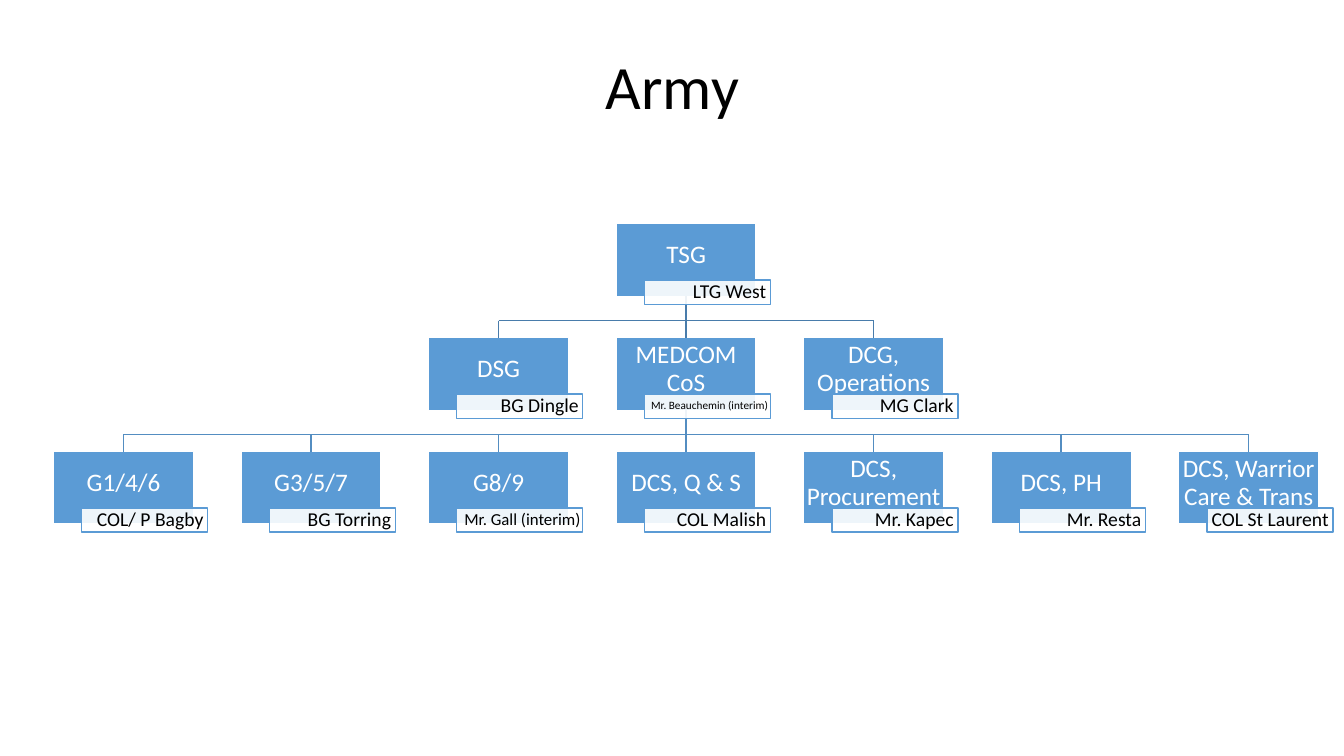
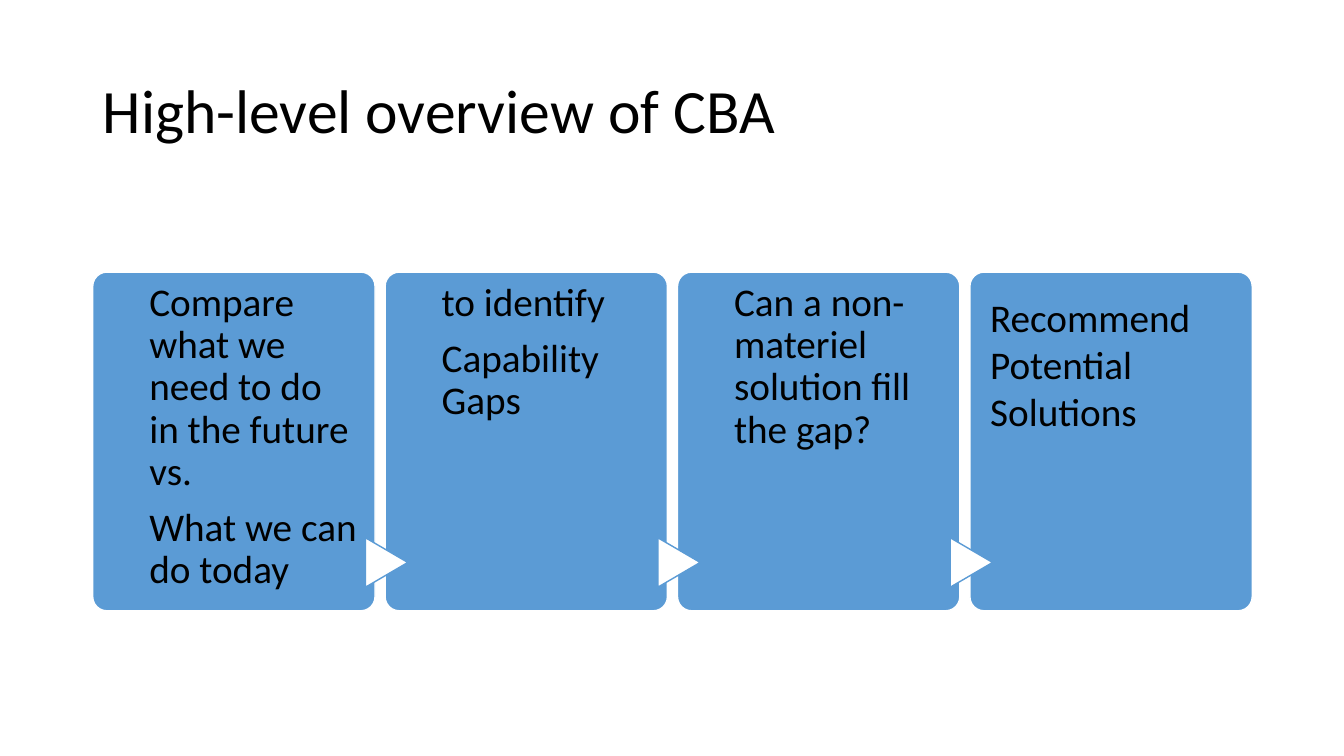
from lxml import etree
from pptx import Presentation
from pptx.dml.color import RGBColor
from pptx.enum.shapes import MSO_CONNECTOR, MSO_SHAPE
from pptx.enum.text import MSO_ANCHOR, PP_ALIGN
from pptx.oxml.ns import qn
from pptx.util import Inches, Pt

BLUE, WHITE, BLACK = "5B9BD5", "FFFFFF", "000000"
UPPER_LINE, LOWER_LINE = "497CAB", "538DC1"
FONT = "Calibri"


def color(hex_string):
    return RGBColor.from_string(hex_string)


class Deck:
    """Holds the shared style and the current slide."""

    def __init__(self):
        self.presentation = Presentation()
        self.presentation.slide_width = Inches(13.33)
        self.presentation.slide_height = Inches(7.5)
        self.slide = None

    def new_slide(self, title, height, align=PP_ALIGN.LEFT):
        self.slide = self.presentation.slides.add_slide(self.presentation.slide_layouts[6])
        box = self.slide.shapes.add_textbox(Inches(0.92), Inches(0.4), Inches(11.5), Inches(height))
        self.add_text(box, [title], 44, align=align, insets=(0.1, 0.05, 0.1, 0.05))

    def add_text(self, shape, lines, size, text_color=BLACK, align=PP_ALIGN.LEFT,
                 anchor=MSO_ANCHOR.MIDDLE, insets=(0, 0, 0, 0), spacing=0.9, after=0):
        frame = shape.text_frame
        frame.word_wrap = True
        frame.vertical_anchor = anchor
        (frame.margin_left, frame.margin_top,
         frame.margin_right, frame.margin_bottom) = map(Inches, insets)
        for index, line in enumerate(lines):
            paragraph = frame.add_paragraph() if index else frame.paragraphs[0]
            paragraph.alignment = align
            paragraph.line_spacing = spacing
            paragraph.space_after = Pt(after)
            run = paragraph.add_run()
            run.text = line
            run.font.name = FONT
            run.font.size = Pt(size)
            run.font.color.rgb = color(text_color)

    def add_shape(self, kind, left, top, width, height, fill=BLUE, line=WHITE, opacity=100):
        shape = self.slide.shapes.add_shape(
            kind, Inches(left), Inches(top), Inches(width), Inches(height))
        shape.shadow.inherit = False
        shape.fill.solid()
        shape.fill.fore_color.rgb = color(fill)
        if opacity < 100:
            fill_color = shape._element.spPr.find(qn("a:solidFill"))[0]
            etree.SubElement(fill_color, qn("a:alpha"), val=str(opacity * 1000))
        shape.line.color.rgb = color(line)
        shape.line.width = Pt(1)
        return shape

    def add_line(self, start, end, line, begin=None, finish=None):
        connector = self.slide.shapes.add_connector(MSO_CONNECTOR.STRAIGHT, *start, *end)
        connector.line.color.rgb = color(line)
        connector.line.width = Pt(1)
        etree.SubElement(connector._element.spPr, qn("a:effectLst"))
        if begin is not None:
            connector.begin_connect(begin, 2)
        if finish is not None:
            connector.end_connect(finish, 0)

    def add_branch(self, parent, children, line):
        """Joins a parent to the row below through one horizontal bar."""
        def middle(box):
            return box.left + box.width // 2

        bottom = parent.top + parent.height
        bar = bottom + Inches(0.24)
        self.add_line((middle(children[0]), bar), (middle(children[-1]), bar), line)
        for child in children:
            x = middle(child)
            if x == middle(parent):
                self.add_line((x, bottom), (x, child.top), line, parent, child)
            else:
                self.add_line((x, bar), (x, child.top), line, finish=child)


# Organisation chart: first column and (role, name, name size) for each row
ORG_ROWS = [
    (3, [("TSG", "LTG West", 14)]),
    (2, [("DSG", "BG Dingle", 14),
         ("MEDCOM CoS", "Mr. Beauchemin (interim)", 8),
         ("DCG, Operations", "MG Clark", 14)]),
    (0, [("G1/4/6", "COL/ P Bagby", 14),
         ("G3/5/7", "BG Torring", 14),
         ("G8/9", "Mr. Gall (interim)", 12),
         ("DCS, Q & S", "COL Malish", 14),
         ("DCS, Procurement", "Mr. Kapec", 14),
         ("DCS, PH", "Mr. Resta", 14),
         ("DCS, Warrior Care & Trans", "COL St Laurent", 14)]),
]


def army_slide(deck):
    deck.new_slide("Army", 0.97, PP_ALIGN.CENTER)
    rows, tags = [], []

    # Role boxes
    for level, (first_column, posts) in enumerate(ORG_ROWS):
        boxes = []
        top = 2.22 + 1.13 * level
        for column, (role, name, size) in enumerate(posts, first_column):
            left = 0.53 + 1.86 * column
            box = deck.add_shape(MSO_SHAPE.RECTANGLE, left, top, 1.39, 0.72)
            deck.add_text(box, [role], 18, WHITE, PP_ALIGN.CENTER, insets=(0.01, 0.01, 0.01, 0.1))
            boxes.append(box)
            tags.append((left + 0.28, top + 0.56, name, size))
        rows.append(boxes)

    # Reporting lines
    deck.add_branch(rows[0][0], rows[1], UPPER_LINE)
    deck.add_branch(rows[1][1], rows[2], LOWER_LINE)

    # Name tags over the boxes and lines
    for left, top, name, size in tags:
        tag = deck.add_shape(MSO_SHAPE.RECTANGLE, left, top, 1.25, 0.24, WHITE, BLUE, opacity=90)
        side = 0.04 if size == 14 else 0.02
        deck.add_text(tag, [name], size, align=PP_ALIGN.RIGHT, insets=(side, 0.01, side, 0.01))


STEP_STYLE = dict(insets=(0.52, 0.06, 0.11, 0), after=9.8)
STEPS = [
    (["Compare what we need to do in the future vs.", "What we can do today"], STEP_STYLE),
    (["to identify", "Capability Gaps"], dict(STEP_STYLE, align=PP_ALIGN.JUSTIFY)),
    (["Can a non-materiel solution fill the gap?"], STEP_STYLE),
    (["Recommend", "Potential", "Solutions"], dict(insets=(0.16, 0.17, 0.1, 0), spacing=1.0)),
]


def overview_slide(deck):
    deck.new_slide("High-level overview of CBA", 1.45)
    pitch = 2.9
    for index, (lines, style) in enumerate(STEPS):
        # Panel with its text
        left = 0.92 + pitch * index
        panel = deck.add_shape(MSO_SHAPE.ROUNDED_RECTANGLE, left, 2.7, 2.8, 3.36)
        panel.adjustments[0] = 0.05
        deck.add_text(panel, lines, 28, anchor=MSO_ANCHOR.TOP, **style)
        # Pointer from the panel before
        if index:
            pointer = deck.add_shape(MSO_SHAPE.FLOWCHART_EXTRACT, left - 0.23, 5.37, 0.49, 0.42,
                                     WHITE, BLUE)
            pointer.rotation = 90


def main():
    deck = Deck()
    army_slide(deck)
    overview_slide(deck)
    deck.presentation.save("out.pptx")


if __name__ == "__main__":
    main()
